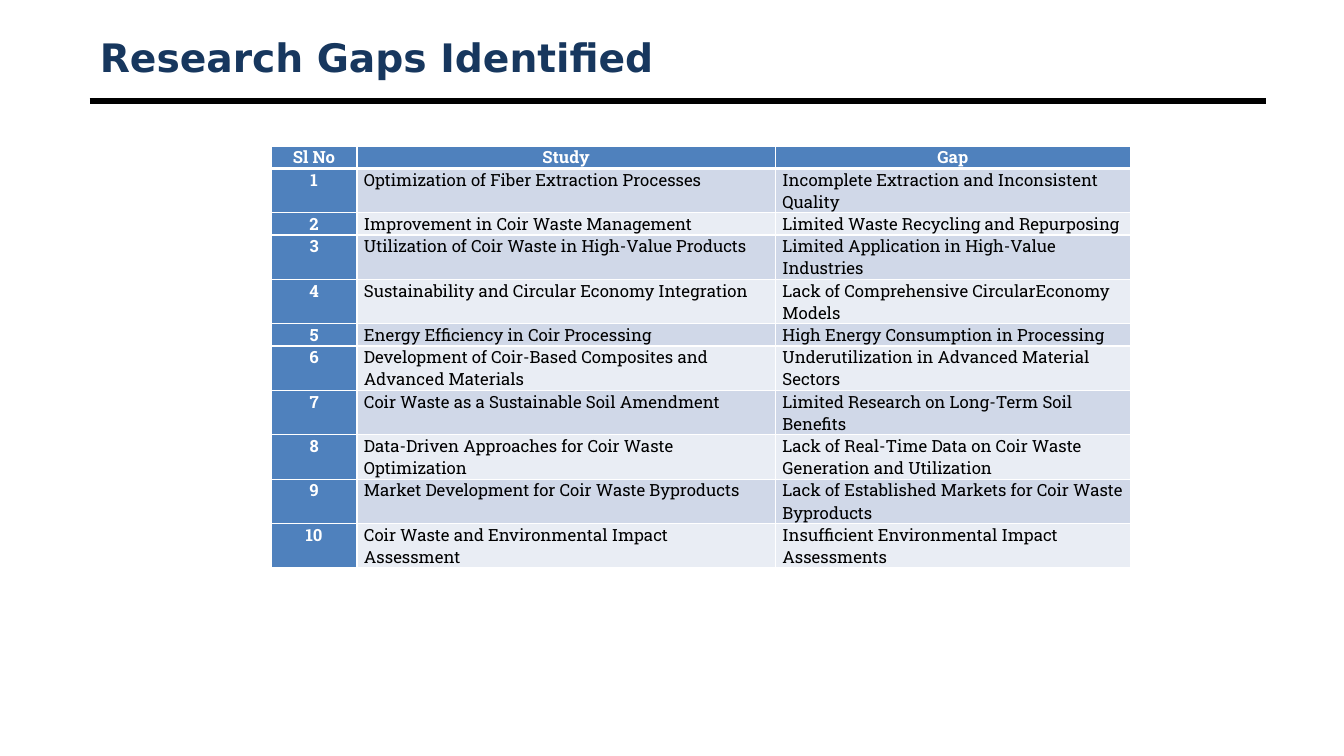
import math

import lxml.etree
import pptx
import pptx.dml.color
import pptx.enum.shapes
import pptx.enum.text
import pptx.oxml.ns
import pptx.util

Inches = pptx.util.Inches
RGBColor = pptx.dml.color.RGBColor
Align = pptx.enum.text.PP_ALIGN
Anchor = pptx.enum.text.MSO_ANCHOR

WHITE = RGBColor(0xFF, 0xFF, 0xFF)
BLACK = RGBColor(0x00, 0x00, 0x00)
NAVY = RGBColor(0x17, 0x37, 0x5E)
BLUE = RGBColor(0x4F, 0x81, 0xBD)
BANDS = (RGBColor(0xE9, 0xED, 0xF4), RGBColor(0xD0, 0xD8, 0xE8))

TITLE_FONT = {"name": "DejaVu Sans", "size": pptx.util.Pt(28), "bold": True}
TABLE_FONT = {"name": "Roboto Slab", "size": pptx.util.Pt(12)}
CELL_MARGINS = {
    "margin_left": Inches(0.07),
    "margin_right": Inches(0.07),
    "margin_top": 0,
    "margin_bottom": 0,
}
COLUMN_WIDTHS = (0.85, 4.15, 3.52)
LINE_HEIGHT = 0.22
GAP_CHARACTERS_PER_LINE = 40

HEADINGS = ("Sl No", "Study", "Gap")
STUDIES = (
    ("Optimization of Fiber Extraction Processes", "Incomplete Extraction and Inconsistent Quality"),
    ("Improvement in Coir Waste Management", "Limited Waste Recycling and Repurposing"),
    ("Utilization of Coir Waste in High-Value Products", "Limited Application in High-Value Industries"),
    ("Sustainability and Circular Economy Integration", "Lack of Comprehensive CircularEconomy Models"),
    ("Energy Efficiency in Coir Processing", "High Energy Consumption in Processing"),
    ("Development of Coir-Based Composites and Advanced Materials", "Underutilization in Advanced Material Sectors"),
    ("Coir Waste as a Sustainable Soil Amendment", "Limited Research on Long-Term Soil Benefits"),
    ("Data-Driven Approaches for Coir Waste Optimization", "Lack of Real-Time Data on Coir Waste Generation and Utilization"),
    ("Market Development for Coir Waste Byproducts", "Lack of Established Markets for Coir Waste Byproducts"),
    ("Coir Waste and Environmental Impact Assessment", "Insufficient Environmental Impact Assessments"),
)


def set_values(target, values):
    for name, value in values.items():
        setattr(target, name, value)


def add_cell_borders(cell, bottom_width):
    properties = cell._tc.get_or_add_tcPr()
    sides = {"lnL": 1, "lnR": 1, "lnT": 1, "lnB": bottom_width}
    for position, (side, width) in enumerate(sides.items()):
        border = lxml.etree.Element(pptx.oxml.ns.qn("a:" + side), w=str(pptx.util.Pt(width)))
        fill = lxml.etree.SubElement(border, pptx.oxml.ns.qn("a:solidFill"))
        lxml.etree.SubElement(fill, pptx.oxml.ns.qn("a:srgbClr"), val=str(WHITE))
        properties.insert(position, border)


def fill_cell(cell, text, row_index, column_index):
    is_header = row_index == 0
    is_heading = is_header or column_index == 0
    set_values(cell, CELL_MARGINS)
    cell.text = text
    cell.fill.solid()
    cell.fill.fore_color.rgb = BLUE if is_heading else BANDS[row_index % 2]
    paragraph = cell.text_frame.paragraphs[0]
    paragraph.alignment = Align.CENTER if is_heading else Align.LEFT
    font = paragraph.runs[0].font
    set_values(font, {**TABLE_FONT, "bold": is_heading})
    font.color.rgb = WHITE if is_heading else BLACK
    add_cell_borders(cell, 3 if is_header else 1)


def add_heading(slide, left, top, width, height):
    title = slide.shapes.title
    set_values(title, {
        "left": Inches(left),
        "top": Inches(top),
        "width": Inches(width),
        "height": Inches(height),
    })
    title.text_frame.text = "Research Gaps Identified"
    title.text_frame.vertical_anchor = Anchor.MIDDLE
    paragraph = title.text_frame.paragraphs[0]
    paragraph.alignment = Align.LEFT
    font = paragraph.runs[0].font
    set_values(font, TITLE_FONT)
    font.color.rgb = NAVY

    rule_top = Inches(top + height + 0.17)
    rule = slide.shapes.add_connector(
        pptx.enum.shapes.MSO_CONNECTOR.STRAIGHT,
        Inches(left), rule_top, Inches(left + width), rule_top,
    )
    rule.line.color.rgb = BLACK
    rule.line.width = pptx.util.Pt(4.5)
    lxml.etree.SubElement(rule._element.spPr, pptx.oxml.ns.qn("a:effectLst"))


def add_gap_table(slide, left, top):
    rows = [HEADINGS]
    rows += [(str(number), *study) for number, study in enumerate(STUDIES, 1)]
    heights = [LINE_HEIGHT * math.ceil(len(row[-1]) / GAP_CHARACTERS_PER_LINE) for row in rows]
    frame = slide.shapes.add_table(
        len(rows), len(HEADINGS), Inches(left), Inches(top),
        Inches(sum(COLUMN_WIDTHS)), Inches(sum(heights)),
    )
    table = frame.table
    table.first_col = True
    for column, width in zip(table.columns, COLUMN_WIDTHS):
        column.width = Inches(width)
    for row_index, (row, height) in enumerate(zip(rows, heights)):
        table.rows[row_index].height = Inches(height)
        for column_index, text in enumerate(row):
            fill_cell(table.cell(row_index, column_index), text, row_index, column_index)


def main():
    presentation = pptx.Presentation()
    presentation.slide_width = Inches(13.33)
    presentation.slide_height = Inches(7.5)
    slide = presentation.slides.add_slide(presentation.slide_layouts.get_by_name("Title Only"))
    add_heading(slide, 0.89, 0.3, 11.67, 0.53)
    add_gap_table(slide, 2.69, 1.45)
    presentation.save("out.pptx")


if __name__ == "__main__":
    main()
